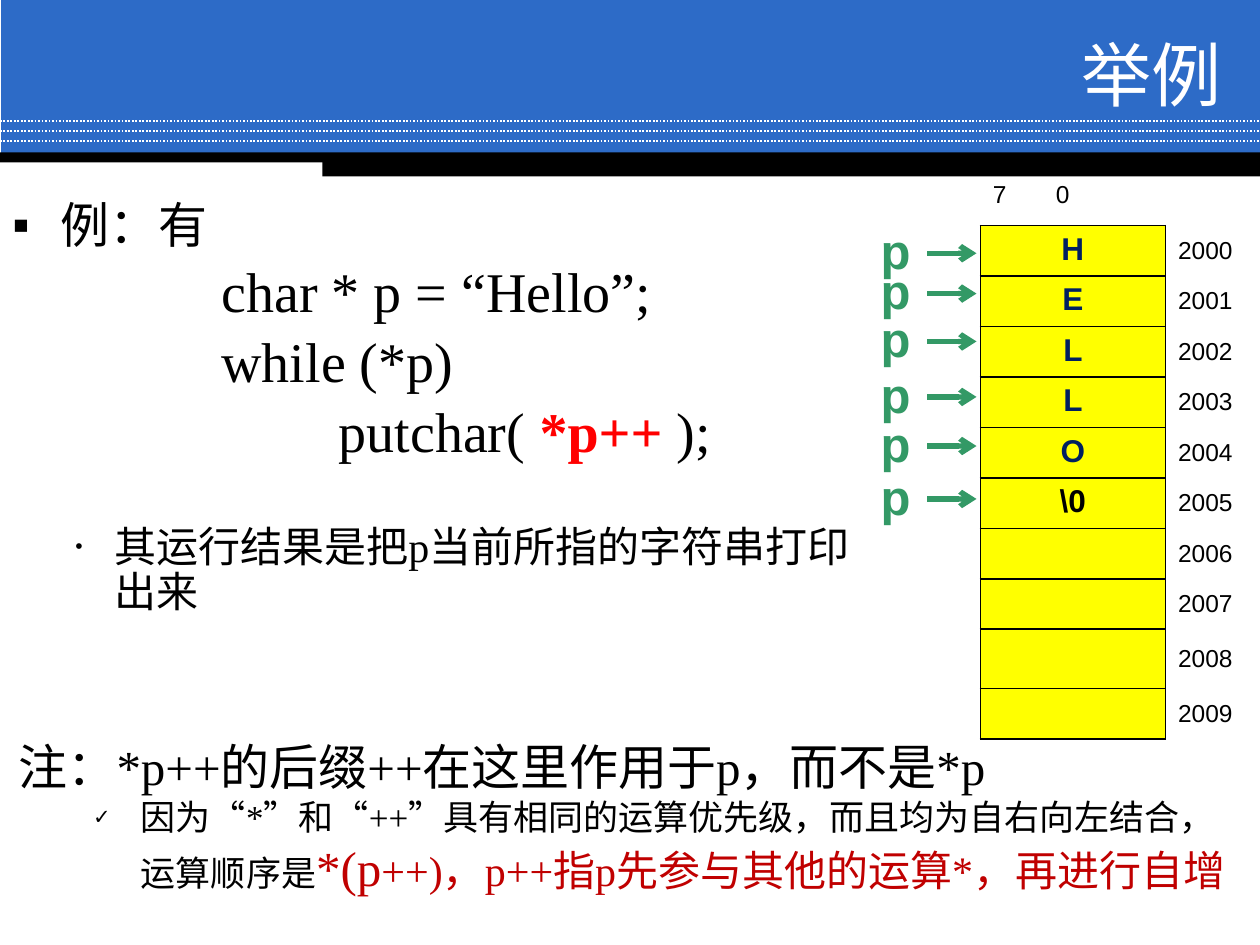
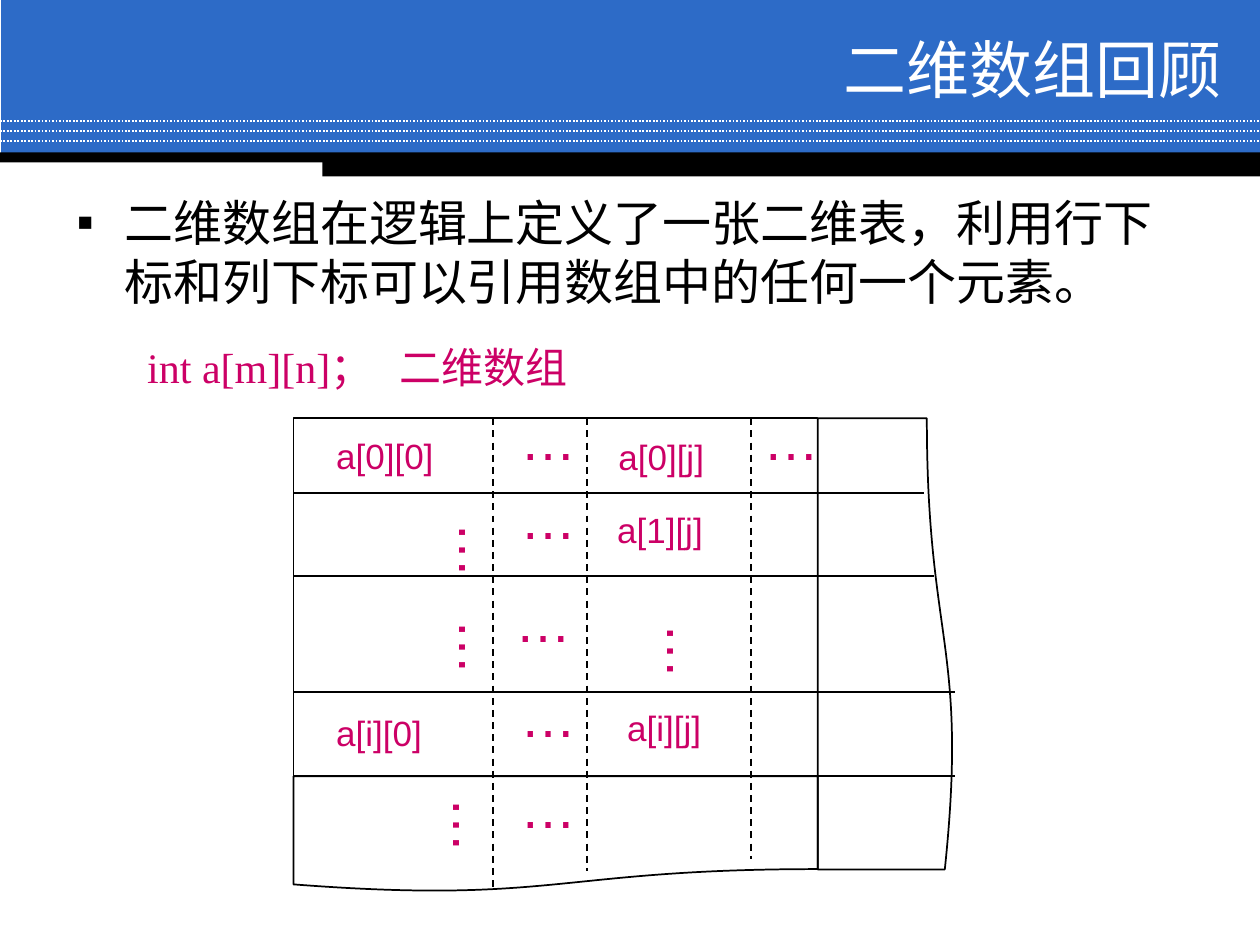
"""Builds two lecture slides on string pointers and two-dimensional arrays."""
import pptx
import pptx.dml.color
import pptx.enum.dml
import pptx.enum.shapes
import pptx.enum.text
import pptx.oxml.ns
import pptx.util
from lxml import etree

RGB = pptx.dml.color.RGBColor
BLUE = RGB(0x2D, 0x6B, 0xC7)
WHITE = RGB(0xFF, 0xFF, 0xFF)
BLACK = RGB(0, 0, 0)
RED = RGB(0xFF, 0, 0)
DARK_RED = RGB(0xC0, 0, 0)
NAVY = RGB(0, 0x20, 0x60)
GREEN = RGB(0x33, 0x99, 0x66)
PINK = RGB(0xCC, 0, 0x66)
YELLOW = RGB(0xFF, 0xFF, 0)

SANS, SERIF, CJK = "Arial", "Times New Roman", "Noto Sans CJK SC"
COLUMNS, ROWS = 100, 75
SHAPES = pptx.enum.shapes.MSO_SHAPE
ALIGN = pptx.enum.text.PP_ALIGN
ANCHOR = pptx.enum.text.MSO_ANCHOR
DASHES = pptx.enum.dml.MSO_LINE


def child(parent, tag, **attributes):
    """Append a drawing element to a parent."""
    return etree.SubElement(parent, pptx.oxml.ns.qn("a:" + tag), attributes)


class Lecture:
    """Holds the shared style and the slide being built."""

    def __init__(self):
        self.deck = pptx.Presentation()
        self.deck.slide_width = pptx.util.Inches(10)
        self.deck.slide_height = pptx.util.Inches(7.5)
        self.page = None

    def across(self, columns):
        return round(self.deck.slide_width * columns / COLUMNS)

    def down(self, rows):
        return round(self.deck.slide_height * rows / ROWS)

    def place(self, left, top, width, height):
        return self.across(left), self.down(top), self.across(width), self.down(height)

    def start(self, title, top, size, font):
        self.page = self.deck.slides.add_slide(self.deck.slide_layouts[6])
        self.shape((0.1, 0, 99.9, 12.3), fill=BLUE)
        for height in (9.6, 10.4, 11.2):
            self.line((0, height), (100, height), WHITE, dash=DASHES.ROUND_DOT)
        self.shape((0, 12.1, 100, 0.8), fill=BLACK)
        self.shape((25.6, 12.4, 74.4, 1.6), fill=BLACK)
        frame = self.box((28.7, top, 69.2, 5.8), anchor=ANCHOR.MIDDLE)
        self.para(frame, [(title, size, WHITE)], font, align=ALIGN.RIGHT)

    def shape(self, area, kind=SHAPES.RECTANGLE, fill=None, border=None, turn=0):
        shape = self.page.shapes.add_shape(kind, *self.place(*area))
        shape.shadow.inherit = False
        shape.rotation = turn
        if fill is None:
            shape.fill.background()
        else:
            shape.fill.solid()
            shape.fill.fore_color.rgb = fill
        if border is None:
            shape.line.fill.background()
        else:
            shape.line.color.rgb = border
            shape.line.width = pptx.util.Pt(1)

    def line(self, begin, end, color=BLACK, width=1, dash=None, arrow=False):
        line = self.page.shapes.add_connector(
            pptx.enum.shapes.MSO_CONNECTOR.STRAIGHT,
            self.across(begin[0]), self.down(begin[1]),
            self.across(end[0]), self.down(end[1]))
        line.line.color.rgb = color
        line.line.width = pptx.util.Pt(width)
        if dash is not None:
            line.line.dash_style = dash
        if arrow:
            child(line.line._get_or_add_ln(), "tailEnd", type="arrow")
        child(line._element.spPr, "effectLst")

    def box(self, area, anchor=ANCHOR.TOP, vertical=False):
        box = self.page.shapes.add_textbox(*self.place(*area))
        frame = box.text_frame
        frame.word_wrap = True
        frame.vertical_anchor = anchor
        if vertical:
            frame._txBody.bodyPr.set("vert", "eaVert")
        return frame

    def para(self, frame, spans, font=SANS, align=None, margin=0, hanging=0,
             bullet=None, bullet_size=100, spacing=None, before=0, tab=None):
        para = frame.paragraphs[0]
        if para.runs:
            para = frame.add_paragraph()
        para.alignment = align
        para.line_spacing = spacing
        para.space_before = pptx.util.Pt(before)
        properties = para._p.get_or_add_pPr()
        properties.set("marL", str(self.across(margin)))
        properties.set("indent", str(-self.across(hanging)))
        if bullet:
            child(properties, "buSzPct", val=str(bullet_size * 1000))
            child(properties, "buFont", typeface=SANS)
            child(properties, "buChar", char=bullet)
        if tab:
            stops = child(properties, "tabLst")
            child(stops, "tab", pos=str(self.across(tab)), algn="l")
        for text, size, color, *bold in spans:
            span = para.add_run()
            span.text = text
            span.font.size = pptx.util.Pt(size)
            span.font.bold = bool(bold)
            span.font.color.rgb = color
            span.font.name = font
            child(span._r.get_or_add_rPr(), "ea", typeface=CJK)

    def label(self, area, text, size, color=PINK, bold=False, vertical=False):
        span = (text, size, color, True) if bold else (text, size, color)
        self.para(self.box(area, vertical=vertical), [span])

    def cell(self, cell, spans, borders="", fill=None, **style):
        properties = cell._tc.get_or_add_tcPr()
        for side in "LRTB":
            edge = child(properties, "ln" + side, w="12700")
            if side in borders:
                child(child(edge, "solidFill"), "srgbClr", val=str(BLACK))
            else:
                child(edge, "noFill")
        if fill is None:
            cell.fill.background()
        else:
            cell.fill.solid()
            cell.fill.fore_color.rgb = fill
        self.para(cell.text_frame, spans, **style)

    def memory(self, left, top, widths, heights, letters, first_address):
        table = self.page.shapes.add_table(
            len(heights), 2,
            *self.place(left, top, sum(widths), sum(heights))).table
        table.first_row = table.horz_banding = False
        for column, width in zip(table.columns, widths):
            column.width = self.across(width)
        for row, height in zip(table.rows, heights):
            row.height = self.down(height)
        self.cell(table.cell(0, 0), [("7\t0", 14, BLACK)], "B", tab=11.4)
        self.cell(table.cell(0, 1), [])
        for index in range(1, len(heights)):
            letter = letters[index - 1] if index <= len(letters) else ""
            color = BLACK if letter == "\\0" else NAVY
            spans = [(letter, 18, color, True)] if letter else []
            self.cell(table.cell(index, 0), spans, "LRTB", YELLOW, align=ALIGN.CENTER)
            address = table.cell(index, 1)
            address.vertical_anchor = ANCHOR.MIDDLE
            self.cell(address, [(str(first_address + index - 1), 14, BLACK)], "L")


def pointer_slide(lecture):
    """Show a pointer walking through a string."""
    lecture.start("举例", 2.9, 40, SANS)
    frame = lecture.box((0, 15.5, 70.5, 40.2))
    lecture.para(frame, [("例：有", 28, BLACK)], SERIF, margin=3.8, hanging=3.8,
                 bullet="▪", spacing=0.9)
    code = [
        (16.6, [("char * p = “Hello”;", 32, BLACK)]),
        (16.6, [("while (*p)", 32, BLACK)]),
        (25.9, [("putchar( ", 32, BLACK), ("*p++ ", 32, RED, True), (");", 32, BLACK)]),
    ]
    for margin, spans in code:
        lecture.para(frame, spans, SERIF, margin=margin, spacing=0.9, before=5.5)
    lecture.para(frame, [("其运行结果是把p当前所指的字符串打印出来", 24, BLACK)], SERIF,
                 margin=8.1, hanging=3.1, bullet="•", bullet_size=50,
                 spacing=0.9, before=35)

    heights = [3.3] + [4] * 8 + [4.7, 4]
    lecture.memory(77.8, 13.9, (14.7, 7.5), heights, ["H", "E", "L", "L", "O", "\\0"], 2000)
    for top in (17, 20.2, 24, 28.4, 32.3, 36.5):
        lecture.label((68.9, top, 4.5, 5.7), "p", 28, GREEN, bold=True)
        lecture.line((73.6, top + 3.1), (77.5, top + 3.1), GREEN, 3, arrow=True)

    note = lecture.box((0, 58, 100, 13.4))
    lecture.para(note, [("注：*p++的后缀++在这里作用于p，而不是*p", 28, BLACK)], SERIF,
                 margin=0.5)
    lecture.para(note, [
        ("因为“*”和“++”具有相同的运算优先级，而且均为自右向左结合，运算顺序是", 20, BLACK),
        ("*(p", 28, DARK_RED),
        ("++)，p++指p先参与其他的运算*，再进行自增", 24, DARK_RED),
    ], SERIF, margin=10.2, hanging=3.8, bullet="✓", bullet_size=60)


def array_slide(lecture):
    """Show the logical layout of a two-dimensional array."""
    lecture.start("二维数组回顾", 2.5, 36, CJK)
    frame = lecture.box((5.1, 14.8, 90, 12))
    lecture.para(frame, [(
        "二维数组在逻辑上定义了一张二维表，利用行下标和列下标可以引用数组中的任何一个元素。",
        28, BLACK)], CJK, margin=3.8, hanging=3.8, bullet="▪")
    declaration = lecture.box((10.7, 26.6, 42.5, 5))
    lecture.para(declaration, [("int a[m][n]；\t二维数组", 24, PINK)], SERIF, tab=21.6)

    left, top, right, bottom = 23.3, 33.2, 64.9, 61.6
    lecture.shape((left, top, right - left, bottom - top), border=BLACK)
    lecture.shape((left, bottom, right - left, 9.2), SHAPES.FLOWCHART_DOCUMENT, border=BLACK)
    lecture.shape((52.4, 45.7, 35.8, 10.8), SHAPES.FLOWCHART_DOCUMENT, border=BLACK, turn=270)
    for begin, height, end in ((left, 39.1, 73.3), (left, 45.7, 74.1),
                               (left, 54.9, 75.8), (right, bottom, 75.8)):
        lecture.line((begin, height), (end, height))
    for column, end in ((39.1, 70.7), (46.6, 69.1), (59.6, 68.2)):
        lecture.line((column, top), (column, end), dash=DASHES.DASH)

    for x, y, text in ((25.7, 34, "a[0][0]"), (48.1, 34.1, "a[0][j]"),
                       (48, 39.9, "a[1][j]"), (25.7, 56, "a[i][0]"),
                       (48.8, 55.6, "a[i][j]")):
        lecture.label((x, y, 11, 4.3), text, 20)
    for x, y in ((40.3, 31.6), (59.6, 31.6), (40.3, 37.9),
                 (39.9, 46.1), (40.3, 53.6), (40.3, 60.8)):
        lecture.label((x, y, 6.7, 6.3), "…", 32)
    for x, y in ((34.1, 40.5), (34.1, 48.2), (50.6, 48.5), (33.6, 62.3)):
        lecture.label((x, y, 7.3, 7.5), "…", 32, vertical=True)


def main():
    """Build and save the deck."""
    lecture = Lecture()
    pointer_slide(lecture)
    array_slide(lecture)
    lecture.deck.save("out.pptx")


if __name__ == "__main__":
    main()
